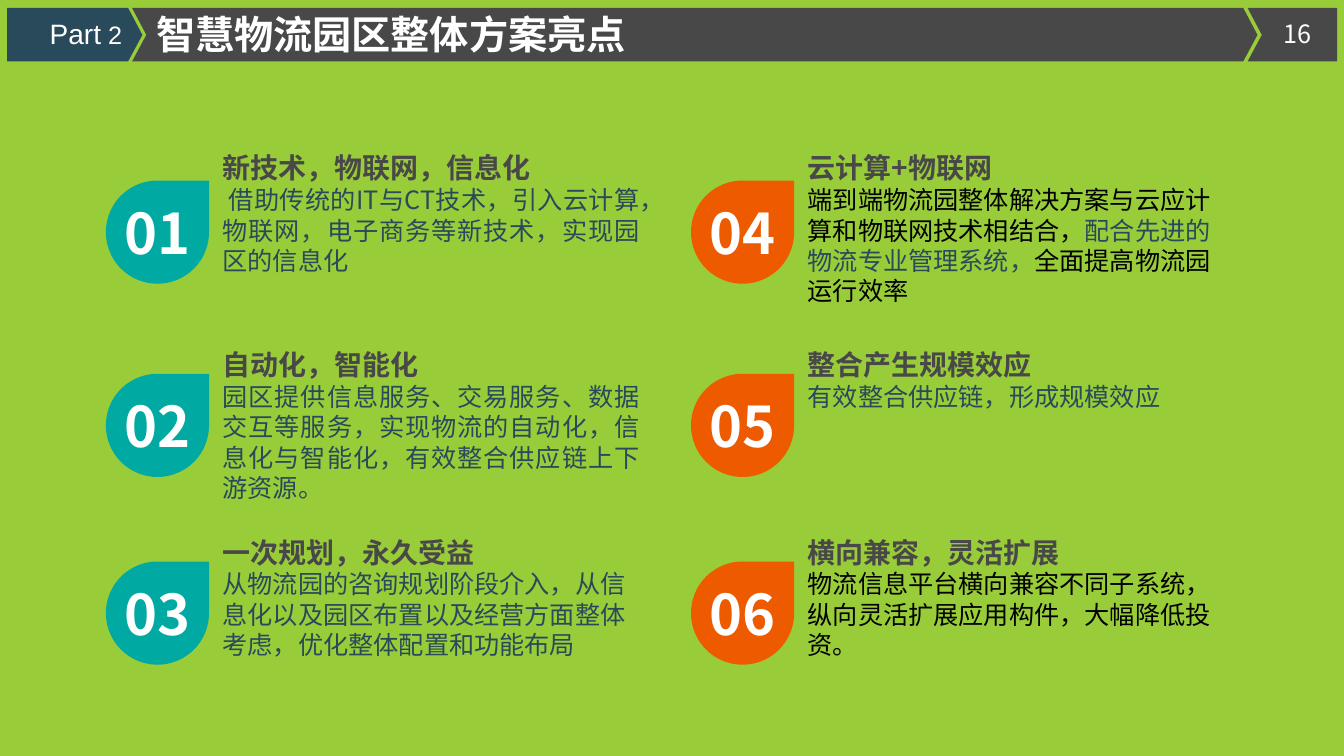
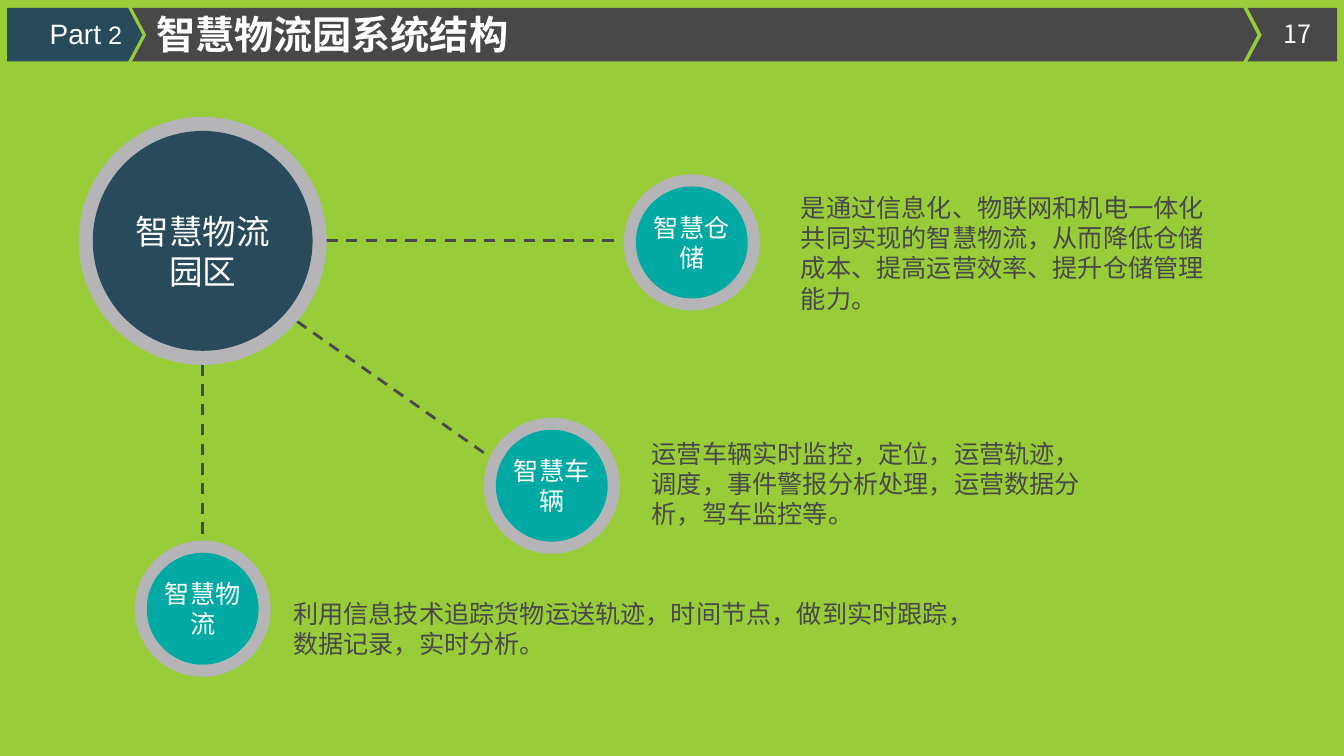
from lxml.etree import SubElement
from pptx import Presentation
from pptx.dml.color import RGBColor
from pptx.enum.dml import MSO_LINE
from pptx.enum.shapes import MSO_CONNECTOR, MSO_SHAPE
from pptx.enum.text import MSO_ANCHOR, MSO_AUTO_SIZE, PP_ALIGN
from pptx.oxml.ns import qn
from pptx.util import Cm, Pt

GREEN = RGBColor(0x99, 0xCC, 0x39)
NAVY = RGBColor(0x29, 0x4A, 0x5A)
CHARCOAL = RGBColor(0x48, 0x48, 0x49)
SILVER = RGBColor(0xB5, 0xB5, 0xB7)
TEAL = RGBColor(0x00, 0xAA, 0xA2)
ORANGE = RGBColor(0xED, 0x5A, 0x00)
WHITE = RGBColor(0xFF, 0xFF, 0xFF)
BLACK = RGBColor(0x00, 0x00, 0x00)
CHINESE_FONT = "Noto Sans CJK SC"
LINE_HEIGHT = 1.2


def write(frame, text, size=18, colour=WHITE, bold=False, align=PP_ALIGN.LEFT,
          font=CHINESE_FONT, joins=False):
    """Add a paragraph, or, if joins is set, a span to the last paragraph."""
    frame.word_wrap = True
    para = frame.paragraphs[-1]
    if not joins:
        if para.runs:
            para = frame.add_paragraph()
        para.alignment = align
        para.line_spacing = Pt(size * LINE_HEIGHT)
    span = para.add_run()
    span.text = text
    span.font.size = Pt(size)
    span.font.bold = bold
    span.font.color.rgb = colour
    span.font.name = font
    SubElement(span.font._element, qn("a:ea")).set("typeface", CHINESE_FONT)


def style_shape(shape, colour):
    """Flat fill without line or shadow; text centred, without margins."""
    shape.shadow.inherit = False
    shape.fill.solid()
    shape.fill.fore_color.rgb = colour
    shape.line.fill.background()
    frame = shape.text_frame
    frame.vertical_anchor = MSO_ANCHOR.MIDDLE
    frame.margin_left = frame.margin_right = 0
    frame.margin_top = frame.margin_bottom = 0


deck = Presentation()
deck.slide_width, deck.slide_height = Cm(33.88), Cm(19.05)
background = deck.slide_master.background.fill
background.solid()
background.fore_color.rgb = GREEN

layout = deck.slide_layouts[5]
for placeholder in list(layout.placeholders):
    if placeholder.placeholder_format.idx != 0:
        placeholder.element.getparent().remove(placeholder.element)
title = layout.placeholders[0]
title.left, title.top, title.width, title.height = Cm(3.68), Cm(0.13), Cm(14), Cm(1.45)

# Pages with title and number
pages = []
for number, heading in [("16", "智慧物流园区整体方案亮点"), ("17", "智慧物流园系统结构")]:
    page = deck.slides.add_slide(layout)
    title_frame = page.shapes.title.text_frame
    title_frame.auto_size = MSO_AUTO_SIZE.NONE
    title_frame.vertical_anchor = MSO_ANCHOR.MIDDLE
    write(title_frame, heading, size=28, bold=True)
    pages.append(page)
highlights, structure = pages

# Header band, drawn once and moved to the layout
BAND_TOP, BAND_MIDDLE, BAND_BOTTOM, TIP = 0.2, 0.88, 1.55, 0.36
shared = []
for left, right, notch, tip, colour in [
    (0.18, 3.23, 0, TIP, NAVY),
    (3.33, 31.34, TIP, TIP, CHARCOAL),
    (31.45, 33.71, TIP, 0, CHARCOAL),
]:
    outline = highlights.shapes.build_freeform(Cm(left), Cm(BAND_TOP))
    corners = [(right, BAND_TOP), (right + tip, BAND_MIDDLE), (right, BAND_BOTTOM),
               (left, BAND_BOTTOM), (left + notch, BAND_MIDDLE)]
    outline.add_line_segments([(Cm(x), Cm(y)) for x, y in corners], close=True)
    band = outline.convert_to_shape()
    style_shape(band, colour)
    shared.append(band)
part = highlights.shapes.add_textbox(Cm(0.38), Cm(0.3), Cm(2.95), Cm(1.12))
write(part.text_frame, "Part", size=20, align=PP_ALIGN.RIGHT, font="Arial")
write(part.text_frame, " 2", font="Arial", joins=True)
shared.append(part)
for shape in shared:
    layout.shapes.element.append(shape.element)

for page, number in zip(pages, ("16", "17")):
    box = page.shapes.add_textbox(Cm(32.03), Cm(0.33), Cm(1.37), Cm(1.02))
    write(box.text_frame, number, align=PP_ALIGN.CENTER)

# Six highlights: two columns of three
ROWS = [(3.68, 4.55), (8.64, 9.42), (13.36, 14.15)]
COLUMNS = [(2.67, TEAL), (17.42, ORANGE)]
DROP_SIZE = 2.6
JUSTIFIED, LEFT = PP_ALIGN.JUSTIFY, PP_ALIGN.LEFT
HIGHLIGHTS = [
    ("新技术，物联网，信息化", JUSTIFIED,
     [(" 借助传统的IT与CT技术，引入云计算，物联网，电子商务等新技术，实现园区的信息化", NAVY)]),
    ("自动化，智能化", JUSTIFIED,
     [("园区提供信息服务、交易服务、数据交互等服务，实现物流的自动化，信息化与智能化，"
       "有效整合供应链上下游资源。", NAVY)]),
    ("一次规划，永久受益", LEFT,
     [("从物流园的咨询规划阶段介入，从信息化以及园区布置以及经营方面整体考虑，"
       "优化整体配置和功能布局", NAVY)]),
    ("云计算+物联网", LEFT,
     [("端到端物流园整体解决方案与云应计算和物联网技术相结合，", BLACK),
      ("配合先进的物流专业管理系统，", NAVY),
      ("全面提高物流园运行效率", BLACK)]),
    ("整合产生规模效应", LEFT, [("有效整合供应链，形成规模效应", NAVY)]),
    ("横向兼容，灵活扩展", LEFT,
     [("物流信息平台横向兼容不同子系统，纵向灵活扩展应用构件，大幅降低投资。", BLACK)]),
]
for index, (heading, align, spans) in enumerate(HIGHLIGHTS):
    column, row = divmod(index, len(ROWS))
    left, colour = COLUMNS[column]
    text_top, drop_top = ROWS[row]
    drop = highlights.shapes.add_shape(
        MSO_SHAPE.TEAR, Cm(left), Cm(drop_top), Cm(DROP_SIZE), Cm(DROP_SIZE))
    style_shape(drop, colour)
    write(drop.text_frame, f"{index + 1:02}", size=40, bold=True, align=PP_ALIGN.CENTER)
    box = highlights.shapes.add_textbox(Cm(left + 2.69), Cm(text_top), Cm(11.02), Cm(4.2))
    write(box.text_frame, heading, size=20, colour=CHARCOAL, bold=True)
    for position, (text, text_colour) in enumerate(spans):
        write(box.text_frame, text, colour=text_colour, align=align, joins=position > 0)

# System structure: one hub with three branches
for start_x, start_y, end_x, end_y in [
    (8.23, 6.07, 15.54, 6.07),
    (7.49, 8.1, 12.34, 11.51),
    (5.11, 9.19, 5.11, 13.64),
]:
    link = structure.shapes.add_connector(
        MSO_CONNECTOR.STRAIGHT, Cm(start_x), Cm(start_y), Cm(end_x), Cm(end_y))
    link.line.color.rgb = CHARCOAL
    link.line.width = Pt(0)
    link.line.dash_style = MSO_LINE.DASH
    SubElement(link.element.spPr, qn("a:effectLst"))

for label, center_x, center_y, ring_size, disc_size, colour, size, drop_by in [
    ("智慧物流园区", 5.11, 6.07, 6.25, 5.54, NAVY, 24, 0.5),
    ("智慧仓储", 17.44, 6.11, 3.43, 2.82, TEAL, 18, 0),
    ("智慧车辆", 13.91, 12.24, 3.43, 2.82, TEAL, 18, 0),
    ("智慧物流", 5.11, 15.34, 3.43, 2.82, TEAL, 18, 0),
]:
    for diameter, fill in [(ring_size, SILVER), (disc_size, colour)]:
        disc = structure.shapes.add_shape(
            MSO_SHAPE.OVAL, Cm(center_x - diameter / 2), Cm(center_y - diameter / 2),
            Cm(diameter), Cm(diameter))
        style_shape(disc, fill)
    disc.text_frame.margin_top = Cm(drop_by)
    write(disc.text_frame, label, size=size, align=PP_ALIGN.CENTER)

for left, top, width, height, text in [
    (19.94, 4.72, 11, 3.33,
     "是通过信息化、物联网和机电一体化共同实现的智慧物流，从而降低仓储成本、"
     "提高运营效率、提升仓储管理能力。"),
    (16.18, 10.92, 11.35, 2.57,
     "运营车辆实时监控，定位，运营轨迹，调度，事件警报分析处理，运营数据分析，驾车监控等。"),
    (7.14, 14.94, 17.02, 1.8,
     "利用信息技术追踪货物运送轨迹，时间节点，做到实时跟踪，数据记录，实时分析。"),
]:
    box = structure.shapes.add_textbox(Cm(left), Cm(top), Cm(width), Cm(height))
    write(box.text_frame, text, colour=CHARCOAL)

deck.save("out.pptx")
